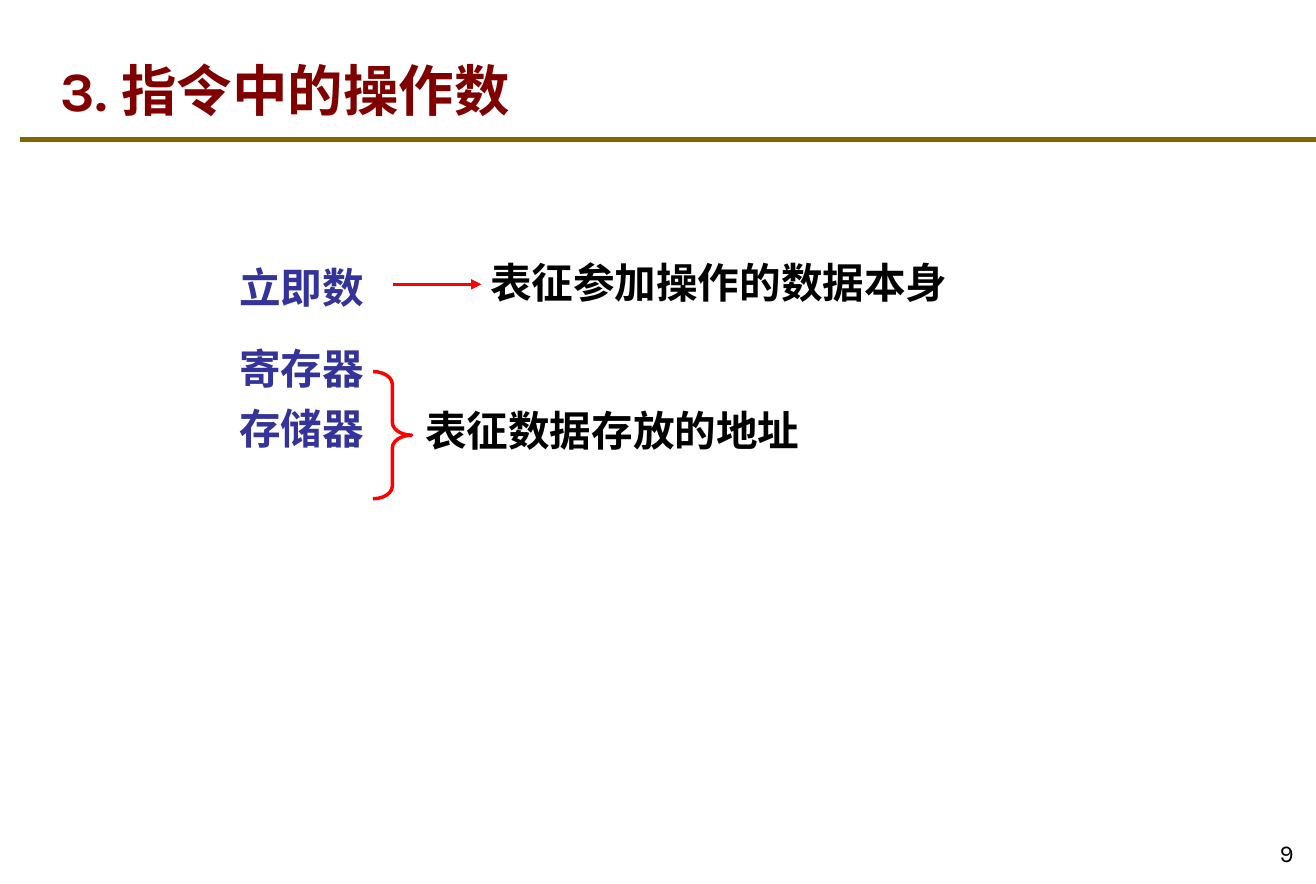
"""Build the slide on operands in instructions."""
from lxml.etree import SubElement
from pptx import Presentation
from pptx.dml.color import RGBColor
from pptx.enum.shapes import MSO_CONNECTOR as CONNECTOR, MSO_SHAPE as SHAPE
from pptx.enum.text import MSO_ANCHOR as ANCHOR, PP_ALIGN as ALIGN
from pptx.oxml.ns import qn
from pptx.util import Inches, Pt

MAROON = RGBColor(0x80, 0x00, 0x00)
OLIVE = RGBColor(0x80, 0x68, 0x00)
INDIGO = RGBColor(0x33, 0x33, 0x99)
RED = RGBColor(0xFF, 0x00, 0x00)
BLACK = RGBColor(0x00, 0x00, 0x00)
LATIN, CHINESE = "Karla", "Noto Sans CJK SC"

prs = Presentation()
prs.slide_width, prs.slide_height = Inches(10.55), Inches(7.09)
slide = prs.slides.add_slide(prs.slide_layouts[6])


def add_text(paragraphs, left, top, width, height, size=24, color=BLACK, bold=True,
             anchor=ANCHOR.TOP, align=ALIGN.LEFT, line_spacing=1.0, gaps=(0,)):
    """Add a text box; each paragraph is a list of (text, font) runs."""
    frame = slide.shapes.add_textbox(*map(Inches, (left, top, width, height))).text_frame
    frame.word_wrap = True
    frame.vertical_anchor = anchor
    for index, (runs, gap) in enumerate(zip(paragraphs, gaps)):
        paragraph = frame.add_paragraph() if index else frame.paragraphs[0]
        paragraph.alignment = align
        paragraph.line_spacing = line_spacing
        paragraph.space_before = Pt(gap)
        for text, typeface in runs:
            run = paragraph.add_run()
            run.text = text
            run.font.size, run.font.bold = Pt(size), bold
            run.font.color.rgb = color
            run.font.name = typeface
            SubElement(run.font._element, qn("a:ea"), typeface=typeface)


def add_line(left, right, y, color, width):
    """Add a horizontal line without a shadow."""
    line = slide.shapes.add_connector(
        CONNECTOR.STRAIGHT, Inches(left), Inches(y), Inches(right), Inches(y))
    line.line.color.rgb = color
    line.line.width = Pt(width)
    SubElement(line._element.spPr, qn("a:effectLst"))
    return line


add_line(0.16, 10.55, 1.12, OLIVE, 3)
add_text([[("9", LATIN)]], 9.83, 6.54, 0.64, 0.47, size=14, bold=False,
         anchor=ANCHOR.BOTTOM, align=ALIGN.RIGHT)
add_text([[("3. ", LATIN), ("指令中的操作数", CHINESE)]], 0.39, 0.24, 8.99, 0.79,
         size=32, color=MAROON, anchor=ANCHOR.BOTTOM)

operands = ["立即数", "寄存器", "存储器"]
add_text([[(operand, CHINESE)] for operand in operands], 1.82, 1.97, 4.07, 2.72,
         color=INDIGO, line_spacing=1.2, gaps=(0, 12.5, 0))

arrow = add_line(3.15, 3.86, 2.28, RED, 2)
SubElement(arrow.line._get_or_add_ln(), qn("a:tailEnd"), type="triangle")

brace = slide.shapes.add_shape(
    SHAPE.LEFT_BRACE, Inches(2.99), Inches(2.98), Inches(0.31), Inches(1.02))
brace.rotation = 180
brace.adjustments[0] = 0.33
brace.shadow.inherit = False
brace.fill.background()
brace.line.color.rgb = RED
brace.line.width = Pt(2)

for meaning, left, top in [("表征参加操作的数据本身", 3.83, 2.01),
                           ("表征数据存放的地址", 3.31, 3.2)]:
    add_text([[(meaning, CHINESE)]], left, top, 4.99, 0.6)

prs.save("out.pptx")
